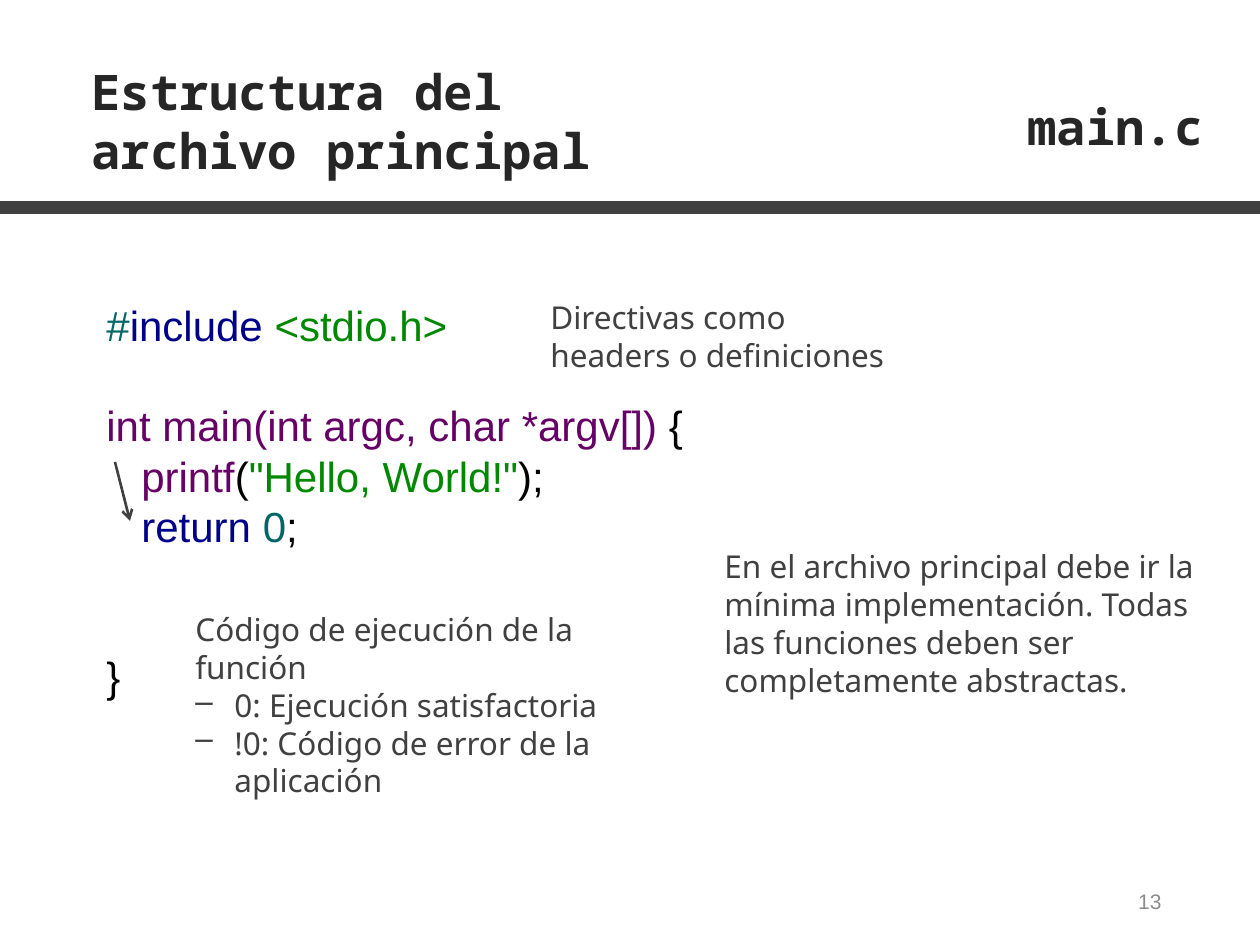
"""Build the slide on the structure of a C program's main file."""
import pptx
import pptx.dml.color
import pptx.enum.shapes
import pptx.enum.text
import pptx.oxml
import pptx.oxml.ns
import pptx.util

SCALE = 914400 // 126
LEADING = 1.2
GRAY, DARK, BLACK = "404040", "262626", "000000"
TEAL, NAVY, GREEN, PURPLE = "006666", "000088", "008800", "660066"
ALIGN = pptx.enum.text.PP_ALIGN
ANCHOR = pptx.enum.text.MSO_ANCHOR

HEADING = {"name": "Noto Sans Mono", "size": 28, "bold": True}
NOTE = {"name": "Noto Sans", "size": 18}
CODE = {"name": "Arial", "size": 24}
NUMBER = {"name": "Arial", "size": 12}

TITLE = ("Estructura del archivo principal", (79, 55, 551, 130))
FILE_NAME = ("main.c", (839, 90, 377, 72))
PAGE_NUMBER = ("13", (890, 876, 284, 50))
CODE_PLACE = (94, 293, 713, 319)
CODE_LINES = [
    (0, [("#", TEAL), ("include ", NAVY), ("<stdio.h>", GREEN)]),
    (28.8, [("int main(int argc, char *argv[]) ", PURPLE), ("{", BLACK)]),
    (0, [("   printf", PURPLE), ("(", BLACK), ('"Hello, World!"', GREEN), (");", BLACK)]),
    (0, [("   return ", NAVY), ("0", TEAL), (";", BLACK)]),
    (57, [("}", BLACK)]),
]
NOTES = [
    ((183, 604, 433, 202), "Código de ejecución de la función",
     ["0: Ejecución satisfactoria", "!0: Código de error de la aplicación"]),
    ((538, 292, 367, 88), "Directivas como headers o definiciones", []),
    ((712, 541, 496, 164),
     "En el archivo principal debe ir la mínima implementación. "
     "Todas las funciones deben ser completamente abstractas.", []),
]
BAR = (-48, 202, 1329, 11)
ARROW = (115, 462, 130, 521)
BULLET_INDENT = 39


def px(*lengths):
    return [pptx.util.Emu(length * SCALE) for length in lengths]


def color(value):
    return pptx.dml.color.RGBColor.from_string(value)


def add_xml(parent, tag, **attributes):
    child = pptx.oxml.parse_xml(f"<a:{tag} {pptx.oxml.ns.nsdecls('a')}/>")
    for name, value in attributes.items():
        child.set(name, value)
    parent.append(child)


def write(box, paragraphs, style, align=ALIGN.LEFT, anchor=ANCHOR.TOP):
    """Fill a box with (space before, spans, bulleted) paragraphs."""
    frame = box.text_frame
    frame.word_wrap = True
    frame.auto_size = pptx.enum.text.MSO_AUTO_SIZE.NONE
    frame.vertical_anchor = anchor
    for index, (space, spans, bulleted) in enumerate(paragraphs):
        para = frame.add_paragraph() if index else frame.paragraphs[0]
        layout = {"alignment": align, "space_before": pptx.util.Pt(space),
                  "line_spacing": pptx.util.Pt(style["size"] * LEADING)}
        for name, value in layout.items():
            setattr(para, name, value)
        if bulleted:
            properties = para._p.get_or_add_pPr()
            indent = BULLET_INDENT * SCALE
            properties.set("marL", str(indent))
            properties.set("indent", str(-indent))
            add_xml(properties, "buChar", char="–")
        for text, shade in spans:
            span = para.add_run()
            span.text = text
            for name, value in style.items():
                setattr(span.font, name, pptx.util.Pt(value) if name == "size" else value)
            span.font.color.rgb = color(shade)


def main():
    deck = pptx.Presentation()
    deck.slide_width, deck.slide_height = px(1260, 945)
    page = deck.slides.add_slide(deck.slide_layouts[5])
    shapes = page.shapes

    text, place = TITLE
    title = shapes.title
    title.left, title.top, title.width, title.height = px(*place)
    write(title, [(0, [(text, DARK)], False)], HEADING)

    text, place = FILE_NAME
    write(shapes.add_textbox(*px(*place)), [(0, [(text, DARK)], False)], HEADING, ALIGN.RIGHT)

    bar = shapes.add_shape(pptx.enum.shapes.MSO_SHAPE.RECTANGLE, *px(*BAR))
    bar.shadow.inherit = False
    bar.fill.solid()
    bar.fill.fore_color.rgb = color(GRAY)
    bar.line.color.rgb = color(GRAY)
    bar.line.width = pptx.util.Pt(1)

    code = [(space, spans, False) for space, spans in CODE_LINES]
    write(shapes.add_textbox(*px(*CODE_PLACE)), code, CODE)

    for place, lead, items in NOTES:
        paragraphs = [(0, [(lead, GRAY)], False)]
        paragraphs += [(0, [(item, GRAY)], True) for item in items]
        write(shapes.add_textbox(*px(*place)), paragraphs, NOTE)

    arrow = shapes.add_connector(pptx.enum.shapes.MSO_CONNECTOR.STRAIGHT, *px(*ARROW))
    arrow.line.color.rgb = color(GRAY)
    arrow.line.width = pptx.util.Pt(1.5)
    add_xml(arrow.line._get_or_add_ln(), "tailEnd", type="arrow")
    add_xml(arrow._element.spPr, "effectLst")

    text, place = PAGE_NUMBER
    write(shapes.add_textbox(*px(*place)), [(0, [(text, "8C8C8C")], False)],
          NUMBER, ALIGN.RIGHT, ANCHOR.MIDDLE)
    deck.save("out.pptx")


if __name__ == "__main__":
    main()
